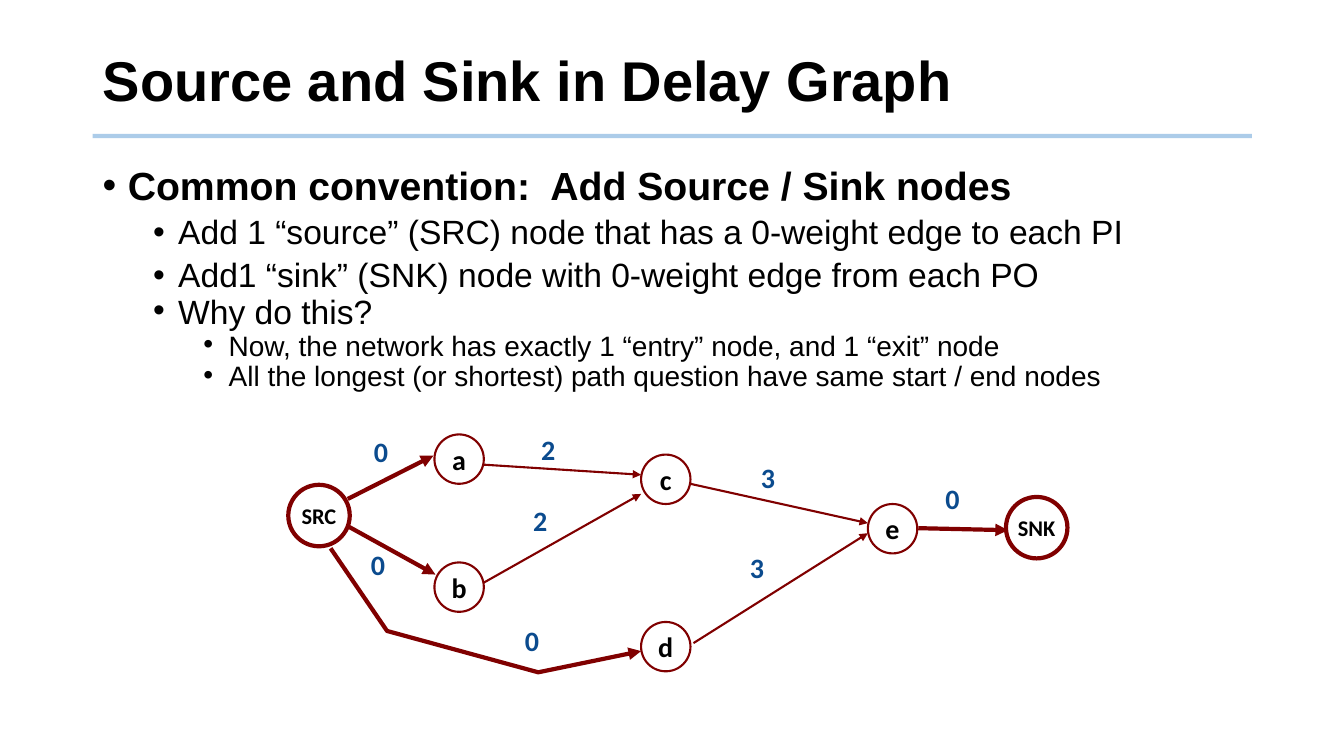
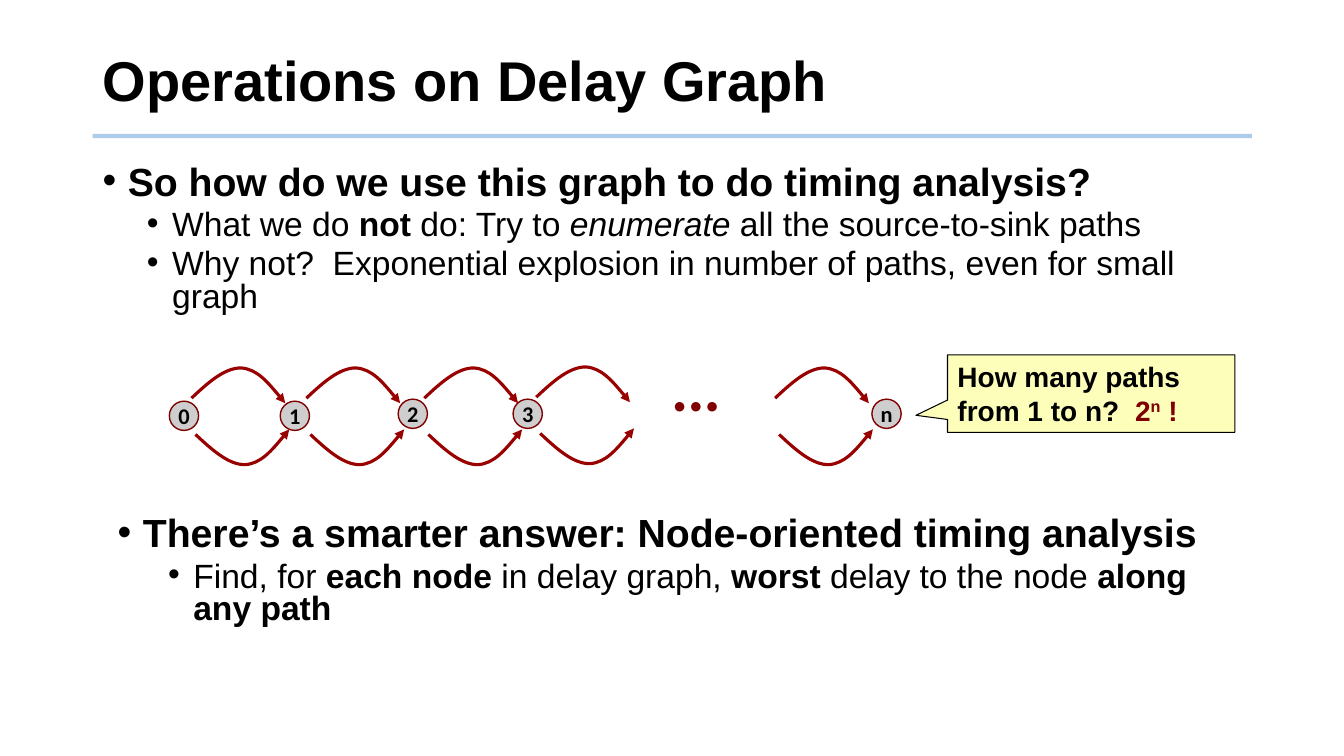
from dataclasses import dataclass
from typing import NamedTuple

from lxml.etree import SubElement
from pptx import Presentation
from pptx.dml.color import RGBColor
from pptx.enum.shapes import MSO_CONNECTOR, MSO_SHAPE
from pptx.enum.text import MSO_ANCHOR, MSO_AUTO_SIZE, PP_ALIGN
from pptx.oxml.ns import qn
from pptx.util import Inches, Pt

COLOURS = {
    "text": "000000",
    "rule": "5B9BD5",
    "graph": "800000",
    "arc": "990000",
    "weight": "0B4B8E",
    "chain_node": "CECECE",
    "callout": "FCFEB9",
}
LEVEL_SIZES = (28, 24, 20)
TITLE_ONLY = 5


class Span(NamedTuple):
    text: str
    bold: bool | None = None
    italic: bool | None = None


@dataclass(frozen=True)
class Bullet:
    spans: tuple[Span, ...]
    level: int
    indent: float
    spacing: float
    space_before: float = 5


@dataclass(frozen=True)
class Node:
    text: str
    left: float
    top: float
    diameter: float = 0.49
    size: int = 20
    line_width: float = 1.5
    fill: str | None = None


class Edge(NamedTuple):
    start: tuple[float, float]
    end: tuple[float, float]
    width: float = 1.5


class Label(NamedTuple):
    text: str
    left: float
    top: float


def colour(name: str) -> RGBColor:
    return RGBColor.from_string(COLOURS[name])


def style_font(font, size: float, name: str = "Arial", bold: bool = True, fill: str = "text") -> None:
    font.size = Pt(size)
    font.name = name
    font.bold = bold
    font.color.rgb = colour(fill)


def style_line(shape, name: str, width: float, arrow: bool = False) -> None:
    shape.line.color.rgb = colour(name)
    shape.line.width = Pt(width)
    if arrow:
        outline = shape._element.spPr.find(qn("a:ln"))
        SubElement(outline, qn("a:tailEnd"), type="triangle")


def add_line(page, edge: Edge, name: str, arrow: bool = True):
    ends = [Inches(value) for value in (*edge.start, *edge.end)]
    line = page.shapes.add_connector(MSO_CONNECTOR.STRAIGHT, *ends)
    style_line(line, name, edge.width, arrow)
    SubElement(line._element.spPr, qn("a:effectLst"))
    return line


def add_path(page, points: list[tuple[float, float]], name: str, width: float):
    """Draw an open outline that ends in an arrowhead."""
    corners = [(Inches(x), Inches(y)) for x, y in points]
    builder = page.shapes.build_freeform(*corners[0])
    builder.add_line_segments(corners[1:], close=False)
    path = builder.convert_to_shape()
    path.fill.background()
    path.shadow.inherit = False
    style_line(path, name, width, arrow=True)
    return path


def add_rule_to_layout(deck) -> None:
    """Put the rule below the title on the layout that all slides share."""
    rule = add_line(deck.slides[0], Edge((0.92, 1.35), (12.42, 1.35), 3), "rule", arrow=False)
    rule_colour = rule._element.spPr.find(".//" + qn("a:srgbClr"))
    SubElement(rule_colour, qn("a:alpha"), val="50000")
    deck.slide_layouts[TITLE_ONLY].shapes._spTree.append(rule._element)


def add_page(deck, heading: str):
    page = deck.slides.add_slide(deck.slide_layouts[TITLE_ONLY])
    title = page.shapes.title
    title.left, title.top = Inches(0.92), Inches(0.28)
    title.width, title.height = Inches(11.5), Inches(1.1)
    frame = title.text_frame
    frame.text = heading
    frame.auto_size = MSO_AUTO_SIZE.NONE
    frame.vertical_anchor = MSO_ANCHOR.MIDDLE
    para = frame.paragraphs[0]
    para.alignment = PP_ALIGN.LEFT
    para.line_spacing = 0.9
    style_font(para.font, 40)
    return page


def add_text_box(page, left: float, top: float, width: float, height: float):
    box = page.shapes.add_textbox(Inches(left), Inches(top), Inches(width), Inches(height))
    box.text_frame.word_wrap = True
    return box.text_frame


def add_bullets(page, bullets: list[Bullet]) -> None:
    frame = add_text_box(page, 0.92, 1.6, 11.5, 5.15)
    for index, bullet in enumerate(bullets):
        para = frame.add_paragraph() if index else frame.paragraphs[0]
        para.line_spacing = bullet.spacing
        if index:
            para.space_before = Pt(bullet.space_before)
        para.level = bullet.level
        properties = para._p.get_or_add_pPr()
        properties.set("marL", str(Inches(bullet.indent)))
        properties.set("indent", str(Inches(-0.25)))
        SubElement(properties, qn("a:buFont"), typeface="Arial")
        SubElement(properties, qn("a:buChar"), char="•")
        style_font(para.font, LEVEL_SIZES[bullet.level], bold=bullet.level == 0)
        for span in bullet.spans:
            run = para.add_run()
            run.text = span.text
            run.font.bold = span.bold
            run.font.italic = span.italic


def add_node(page, node: Node) -> None:
    diameter = Inches(node.diameter)
    circle = page.shapes.add_shape(
        MSO_SHAPE.OVAL, Inches(node.left), Inches(node.top), diameter, diameter
    )
    circle.shadow.inherit = False
    if node.fill:
        circle.fill.solid()
        circle.fill.fore_color.rgb = colour(node.fill)
    else:
        circle.fill.background()
    style_line(circle, "graph", node.line_width)
    frame = circle.text_frame
    frame.word_wrap = False
    frame.vertical_anchor = MSO_ANCHOR.MIDDLE
    para = frame.paragraphs[0]
    para.alignment = PP_ALIGN.CENTER
    style_font(para.font, node.size, "Calibri")
    para.add_run().text = node.text


def add_label(
    page, label: Label, width: float = 0.42, height: float = 0.51, size: int = 20, fill: str = "weight"
) -> None:
    para = add_text_box(page, label.left, label.top, width, height).paragraphs[0]
    style_font(para.font, size, "Calibri", fill=fill)
    para.add_run().text = label.text


def add_arc(page, left: float, top: float, direction: int) -> None:
    """Draw a curved arrow of two Bézier halves that bulges up (-1) or down (1)."""
    controls = (
        (0, 0), (0.17, 0.16), (0.33, 0.3), (0.49, 0.3), (0.65, 0.29), (0.79, 0.12), (0.93, -0.05),
    )
    points = [(left + x, top + direction * y) for x, y in controls]
    arc = add_path(page, points, "arc", 2.25)
    outline = arc._element.spPr.find(".//" + qn("a:path"))
    segments = outline.findall(qn("a:lnTo"))
    for first in range(0, len(segments), 3):
        curve = SubElement(outline, qn("a:cubicBezTo"))
        for segment in segments[first:first + 3]:
            curve.append(segment[0])
            outline.remove(segment)


def add_callout(page) -> None:
    callout = page.shapes.add_shape(
        MSO_SHAPE.RECTANGULAR_CALLOUT, Inches(9.4), Inches(3.52), Inches(2.85), Inches(0.77)
    )
    callout.adjustments[0], callout.adjustments[1] = -0.61, 0.28
    callout.shadow.inherit = False
    callout.fill.solid()
    callout.fill.fore_color.rgb = colour("callout")
    style_line(callout, "text", 0.75)
    frame = callout.text_frame
    frame.word_wrap = True
    frame.vertical_anchor = MSO_ANCHOR.TOP
    para = frame.paragraphs[0]
    para.alignment = PP_ALIGN.LEFT
    pieces = (
        ("How many paths from 1 to n?  ", "text", 0),
        ("2", "graph", 0),
        ("n", "graph", 30000),
        (" !", "graph", 0),
    )
    for text, fill, baseline in pieces:
        run = para.add_run()
        run.text = text
        style_font(run.font, 20, fill=fill)
        if baseline:
            run._r.get_or_add_rPr().set("baseline", str(baseline))


def build_source_and_sink(deck) -> None:
    page = add_page(deck, "Source and Sink in Delay Graph")
    lines = (
        ("Common convention:  Add Source / Sink nodes", 0, 0.9),
        ("Add 1 “source” (SRC) node that has a 0-weight edge to each PI", 1, 0.9),
        ("Add1 “sink” (SNK) node with 0-weight edge from each PO", 1, 0.9),
        ("Why do this?", 1, 0.7),
        ("Now, the network has exactly 1 “entry” node, and 1 “exit” node", 2, 0.7),
        ("All the longest (or shortest) path question have same start / end nodes", 2, 0.7),
    )
    add_bullets(page, [
        Bullet((Span(text),), level, 0.25 + 0.5 * level, spacing)
        for text, level, spacing in lines
    ])

    for text, left, top in (
        ("a", 4.31, 4.31), ("b", 4.31, 5.58), ("c", 6.36, 4.51), ("d", 6.36, 6.17), ("e", 8.61, 5),
    ):
        add_node(page, Node(text, left, top))
    for text, left, top in (("SRC", 2.86, 4.81), ("SNK", 9.98, 4.93)):
        add_node(page, Node(text, left, top, diameter=0.61, size=16, line_width=3))

    for edge in (
        Edge((4.8, 4.61), (6.36, 4.71)),
        Edge((4.8, 5.78), (6.36, 4.9)),
        Edge((6.85, 4.8), (8.61, 5.19)),
        Edge((6.88, 6.38), (8.61, 5.29)),
        Edge((9.11, 5.24), (10, 5.26), 3),
        Edge((3.45, 4.95), (4.3, 4.52), 3),
        Edge((3.45, 5.22), (4.32, 5.7), 3),
    ):
        add_line(page, edge, "graph")
    add_path(page, [(3.28, 5.44), (3.84, 6.26), (5.34, 6.67), (6.36, 6.46)], "graph", 3)

    for label in (
        Label("2", 5.27, 4.24), Label("2", 5.19, 4.95),
        Label("3", 7.34, 5.41), Label("3", 7.45, 4.52),
        Label("0", 9.28, 4.73), Label("0", 3.61, 4.26),
        Label("0", 3.58, 5.38), Label("0", 5.11, 6.14),
    ):
        add_label(page, label)


def build_operations(deck) -> None:
    page = add_page(deck, "Operations on Delay Graph")
    add_bullets(page, [
        Bullet((Span("So how do we use this graph to do timing analysis?"),), 0, 0.25, 0.8),
        Bullet((
            Span("What we do "), Span("not", bold=True), Span(" do: Try to "),
            Span("enumerate", italic=True), Span(" all the source-to-sink paths"),
        ), 1, 0.69, 0.8),
        Bullet((
            Span("Why not?  Exponential explosion in number of paths, even for small graph"),
        ), 1, 0.69, 0.8),
        Bullet((
            Span("There’s a smarter answer: Node-oriented timing analysis"),
        ), 0, 0.4, 0.8, space_before=145),
        Bullet((
            Span("Find, for "), Span("each node", bold=True), Span(" in delay graph, "),
            Span("worst", bold=True), Span(" delay to the node "),
            Span("along any path", bold=True),
        ), 1, 0.9, 0.8),
    ])

    for text, left, top in (
        ("0", 1.68, 3.98), ("1", 2.78, 3.98), ("2", 3.95, 3.96), ("3", 5.09, 3.96), ("n", 8.65, 3.96),
    ):
        add_node(page, Node(text, left, top, 0.29, 16, 1, "chain_node"))
    add_label(page, Label("• • •", 6.59, 3.83), width=0.65, height=0.43, size=16, fill="graph")
    for left, top in ((1.9, 3.95), (3.04, 3.95), (4.21, 3.95), (5.32, 3.94), (7.69, 3.95)):
        add_arc(page, left, top, -1)
        add_arc(page, left + 0.04, top + 0.36, 1)
    add_callout(page)


def main() -> None:
    deck = Presentation()
    deck.slide_width, deck.slide_height = Inches(40 / 3), Inches(7.5)
    build_source_and_sink(deck)
    build_operations(deck)
    add_rule_to_layout(deck)
    deck.save("out.pptx")


if __name__ == "__main__":
    main()
